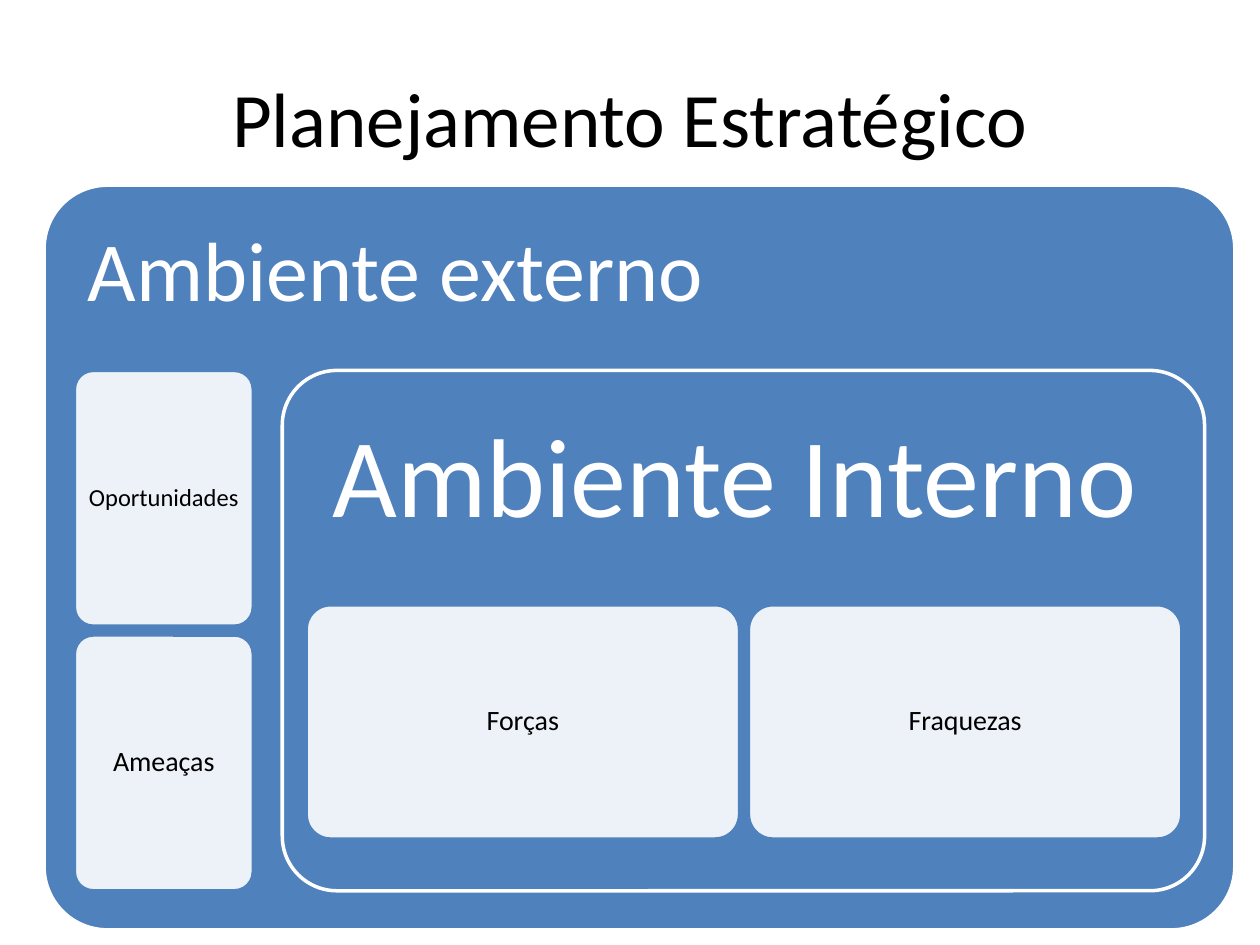
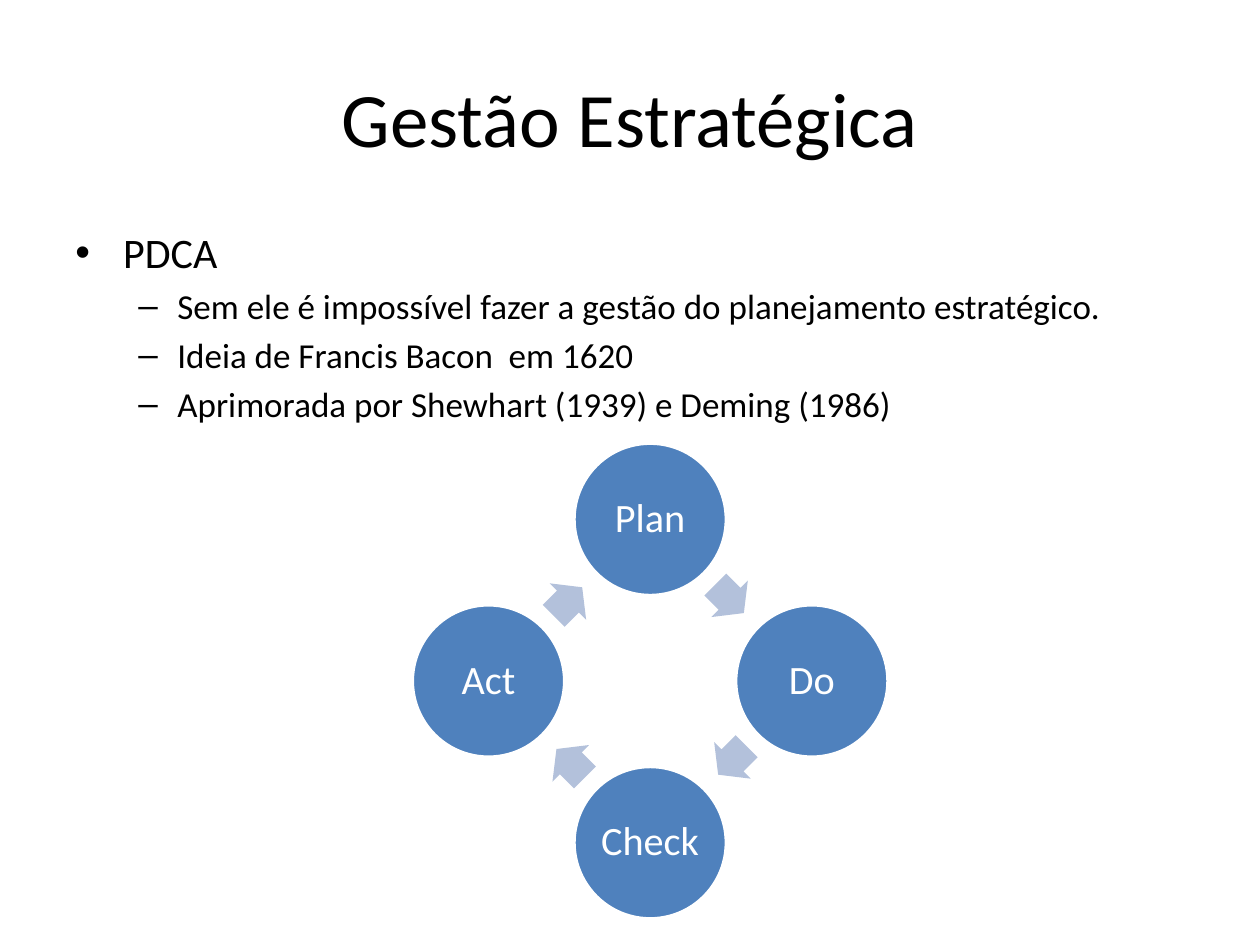
import math
from dataclasses import dataclass

import lxml.etree
import pptx
import pptx.dml.color
import pptx.enum.shapes
import pptx.enum.text
import pptx.oxml.ns
import pptx.util

SHAPE = pptx.enum.shapes.MSO_SHAPE
ALIGN = pptx.enum.text.PP_ALIGN
ANCHOR = pptx.enum.text.MSO_ANCHOR


@dataclass(frozen=True)
class Theme:
    font: str = "Calibri"
    ink: str = "000000"
    paper: str = "FFFFFF"
    blue: str = "4F81BD"
    arrow: str = "B3C1DB"
    title_size: int = 44
    outer_size: int = 48
    inner_size: int = 64
    label_size: int = 16
    small_size: int = 14
    circle_size: int = 23
    bullet_sizes: tuple = (24, 20)
    outline: int = 2
    line_spacing: float = 0.9
    veil: int = 90
    columns: int = 100
    rows: int = 75


class SlideBuilder:
    """Draws themed elements on the current slide, placed by grid columns and rows."""

    def __init__(self, deck, theme):
        self.deck = deck
        self.theme = theme
        self.slide = None

    def place(self, left, top, width, height):
        column = self.deck.slide_width / self.theme.columns
        row = self.deck.slide_height / self.theme.rows
        return [round(size) for size in (left * column, top * row, width * column, height * row)]

    def style(self, paragraph, size, color):
        paragraph.font.name = self.theme.font
        paragraph.font.size = pptx.util.Pt(size)
        paragraph.font.color.rgb = pptx.dml.color.RGBColor.from_string(color)

    def start(self, heading):
        self.slide = self.deck.slides.add_slide(self.deck.slide_layouts[5])
        title = self.slide.shapes.title
        title.left, title.top, title.width, title.height = self.place(5, 3, 90, 12.5)
        title.text_frame.text = heading
        title.text_frame.vertical_anchor = ANCHOR.MIDDLE
        paragraph = title.text_frame.paragraphs[0]
        paragraph.alignment = ALIGN.CENTER
        self.style(paragraph, self.theme.title_size, self.theme.ink)

    def shape(self, kind, area, fill, line=None, adjustments=()):
        shape = self.slide.shapes.add_shape(kind, *self.place(*area))
        shape.shadow.inherit = False
        shape.fill.solid()
        shape.fill.fore_color.rgb = pptx.dml.color.RGBColor.from_string(fill)
        if line:
            shape.line.color.rgb = pptx.dml.color.RGBColor.from_string(line)
            shape.line.width = pptx.util.Pt(self.theme.outline)
        else:
            shape.line.fill.background()
        for index, value in enumerate(adjustments):
            shape.adjustments[index] = value
        return shape

    def label(self, shape, text, size, color, inset, align=ALIGN.CENTER, anchor=ANCHOR.MIDDLE):
        frame = shape.text_frame
        frame.word_wrap = True
        frame.vertical_anchor = anchor
        margin = pptx.util.Inches(inset)
        frame.margin_left = frame.margin_right = margin
        frame.margin_top = frame.margin_bottom = margin
        frame.text = text
        paragraph = frame.paragraphs[0]
        paragraph.alignment = align
        paragraph.line_spacing = self.theme.line_spacing
        self.style(paragraph, size, color)

    def panel(self, text, area, size, rounding, inset):
        theme = self.theme
        panel = self.shape(SHAPE.ROUNDED_RECTANGLE, area, theme.blue, theme.paper, [rounding])
        self.label(panel, text, size, theme.paper, inset, ALIGN.LEFT, ANCHOR.TOP)

    def card(self, text, area, size, inset):
        theme = self.theme
        card = self.shape(SHAPE.ROUNDED_RECTANGLE, area, theme.paper, theme.blue, [0.105])
        color = card.element.spPr.find(pptx.oxml.ns.qn("a:solidFill"))[0]
        alpha = lxml.etree.SubElement(color, pptx.oxml.ns.qn("a:alpha"))
        alpha.set("val", str(theme.veil * 1000))
        self.label(card, text, size, theme.ink, inset)

    def bullets(self, area, items):
        box = self.slide.shapes.add_textbox(*self.place(*area))
        frame = box.text_frame
        frame.word_wrap = True
        indents = ((0.38, 0.38, "•"), (0.81, 0.31, "–"))
        for index, (level, text) in enumerate(items):
            paragraph = frame.add_paragraph() if index else frame.paragraphs[0]
            paragraph.text = text
            paragraph.level = level
            size = self.theme.bullet_sizes[level]
            paragraph.space_before = pptx.util.Pt(size * 0.2)
            left, hanging, mark = indents[level]
            properties = paragraph._p.get_or_add_pPr()
            properties.set("marL", str(pptx.util.Inches(left)))
            properties.set("indent", str(-pptx.util.Inches(hanging)))
            bullet_font = lxml.etree.SubElement(properties, pptx.oxml.ns.qn("a:buFont"))
            bullet_font.set("typeface", "Arial")
            bullet = lxml.etree.SubElement(properties, pptx.oxml.ns.qn("a:buChar"))
            bullet.set("char", mark)
            self.style(paragraph, size, self.theme.ink)

    def cycle(self, steps, center_x, center_y, radius, diameter):
        theme = self.theme
        arrow_width, arrow_height = 3.2, 4.1
        turn = 360 / len(steps)
        arrow_radius = radius * math.cos(math.radians(turn / 2))

        def around(angle, distance, width, height):
            x = center_x + distance * math.cos(math.radians(angle))
            y = center_y + distance * math.sin(math.radians(angle))
            return x - width / 2, y - height / 2, width, height

        for index, step in enumerate(steps):
            angle = index * turn - 90
            circle_area = around(angle, radius, diameter, diameter)
            circle = self.shape(SHAPE.OVAL, circle_area, theme.blue, theme.paper)
            self.label(circle, step, theme.circle_size, theme.paper, 0.03)
            arrow_area = around(angle + turn / 2 - 1, arrow_radius, arrow_width, arrow_height)
            arrow = self.shape(SHAPE.RIGHT_ARROW, arrow_area, theme.arrow, adjustments=[0.6, 0.5])
            arrow.rotation = angle + turn / 2 + 90


def build_environments(builder):
    theme = builder.theme
    builder.start("Planejamento Estratégico")
    builder.panel("Ambiente externo", (3.5, 14.7, 94.5, 59.1), theme.outer_size, 0.085, 0.2)
    gap = 0.7
    width, height = 14.2, 20.3
    external = (("Oportunidades", theme.small_size, 0.06), ("Ameaças", theme.label_size, 0.07))
    for index, (text, size, inset) in enumerate(external):
        builder.card(text, (5.9, 29.4 + index * (height + gap), width, height), size, inset)
    builder.panel("Ambiente Interno", (22.4, 29.4, 73.2, 41.3), theme.inner_size, 0.105, 0.27)
    width, height = 34.4, 18.6
    for index, text in enumerate(("Forças", "Fraquezas")):
        area = (24.3 + index * (width + gap), 48, width, height)
        builder.card(text, area, theme.label_size, 0.07)


def build_management(builder):
    builder.start("Gestão Estratégica")
    builder.bullets((5, 17.5, 90, 49.5), (
        (0, "PDCA"),
        (1, "Sem ele é impossível fazer a gestão do planejamento estratégico."),
        (1, "Ideia de Francis Bacon  em 1620"),
        (1, "Aprimorada por Shewhart (1939) e Deming (1986)"),
    ))
    builder.cycle(("Plan", "Do", "Check", "Act"), 51.6, 54.05, 12.83, 12.1)


def main():
    deck = pptx.Presentation()
    deck.slide_width = pptx.util.Inches(10)
    deck.slide_height = pptx.util.Inches(7.5)
    builder = SlideBuilder(deck, Theme())
    build_environments(builder)
    build_management(builder)
    deck.save("out.pptx")


if __name__ == "__main__":
    main()
